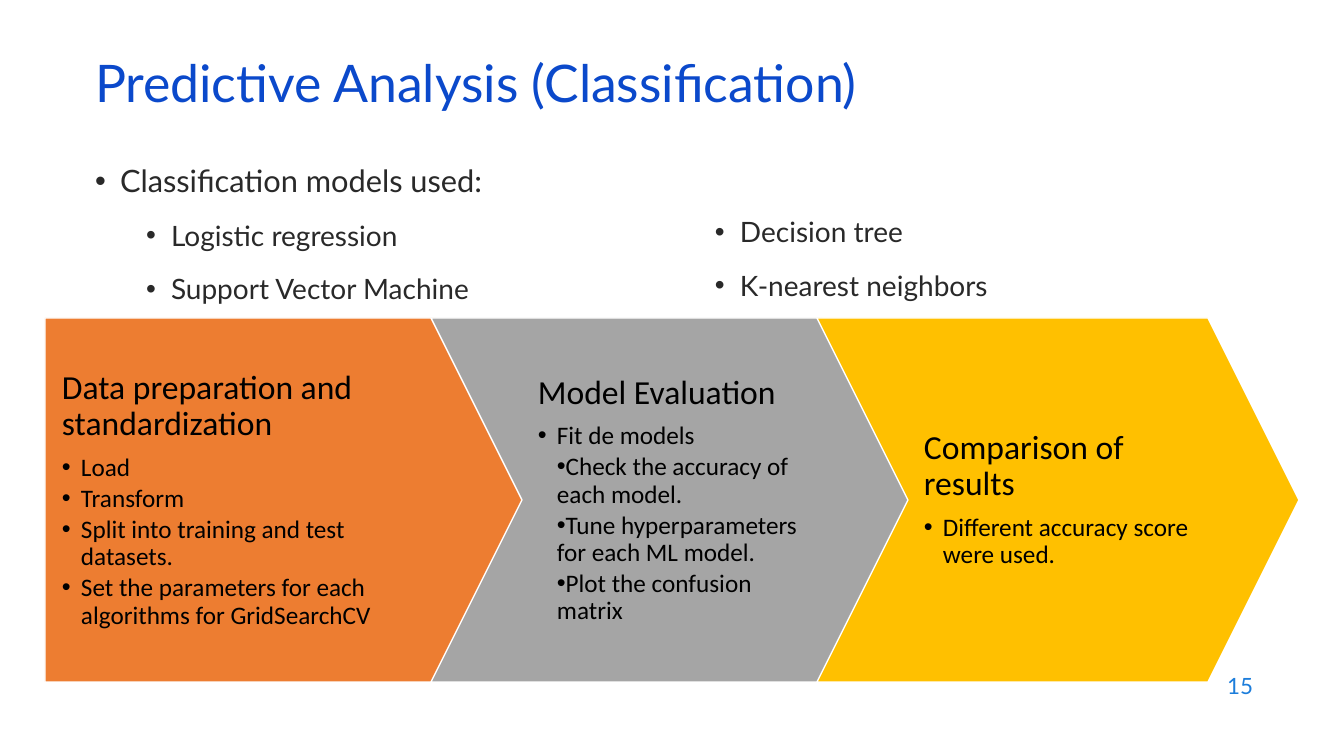
from pptx import Presentation
from pptx import util as u
from pptx.dml.color import RGBColor
from pptx.enum import shapes, text
from lxml import etree

PX = 914400 / 100.8
A = "{http://schemas.openxmlformats.org/drawingml/2006/main}"


def px(n):
    return round(n * PX)


def add_text(box, paragraphs, font="Calibri", color="000000", line=None,
             anchor="MIDDLE", align="LEFT", insets=(10, 5, 10, 5)):
    """Each paragraph is (text, size, format); bulleted ones give margin and indent."""
    tf = s.shapes.add_textbox(*map(px, box)).text_frame
    tf.word_wrap = True
    tf.vertical_anchor = getattr(text.MSO_ANCHOR, anchor)
    tf.margin_left, tf.margin_top, tf.margin_right, tf.margin_bottom = map(px, insets)
    for i, (words, size, fmt) in enumerate(paragraphs):
        p = tf.paragraphs[0] if i == 0 else tf.add_paragraph()
        p.alignment = getattr(text.PP_ALIGN, align)
        p.level = fmt.get("level", 0)
        if line:
            p.line_spacing = line
        p.space_before = u.Pt(fmt.get("before", 0) if i else 0)
        p.space_after = u.Pt(fmt.get("after", 0))
        if "margin" in fmt:
            pPr = p._p.get_or_add_pPr()
            pPr.set("marL", str(px(fmt["margin"])))
            pPr.set("indent", str(px(fmt["indent"])))
            etree.SubElement(pPr, A + "buFont").set("typeface", "Arial")
            etree.SubElement(pPr, A + "buChar").set("char", "•")
        r = p.add_run()
        r.text = words
        r.font.size = u.Pt(size)
        r.font.name = font
        r.font.color.rgb = RGBColor.from_string(color)


prs = Presentation()
prs.slide_width, prs.slide_height = px(1344), px(756)
s = prs.slides.add_slide(prs.slide_layouts[6])

# Slide number
add_text((961, 664, 302, 44), [("15", 16, {})], font="Lato", color="1C7DDB", align="RIGHT")

# Process arrows: shape, fill, heading, steps as (text, hanging indent)
HANG, FLUSH = -19, 0
stages = [
    ("PENTAGON", "ED7D31", "Data preparation and standardization",
     [("Load", HANG), ("Transform", HANG),
      ("Split into training and test datasets.", HANG),
      ("Set the parameters for each algorithms for GridSearchCV", HANG)]),
    ("CHEVRON", "A5A5A5", "Model Evaluation",
     [("Fit de models", HANG), ("Check the accuracy of each model.", FLUSH),
      ("Tune hyperparameters for each ML model.", FLUSH),
      ("Plot the confusion matrix", FLUSH)]),
    ("CHEVRON", "FFC000", "Comparison of results",
     [("Different accuracy score were used.", HANG)]),
]
TOP, WIDTH, HEIGHT, PITCH = 318, 482, 364, 386
for i, (kind, fill, heading, steps) in enumerate(stages):
    left = 45 + i * PITCH
    sp = s.shapes.add_shape(getattr(shapes.MSO_SHAPE, kind),
                            px(left), px(TOP), px(WIDTH), px(HEIGHT))
    sp.adjustments[0] = 0.25
    sp.shadow.inherit = False
    sp.fill.solid()
    sp.fill.fore_color.rgb = RGBColor.from_string(fill)
    sp.line.color.rgb = RGBColor.from_string("FFFFFF")
    sp.line.width = u.Pt(1)

    paragraphs = [(heading, 24, {"after": 8.4})]
    paragraphs += [(step, 18, {"level": 1, "margin": 19, "indent": indent, "after": 2.7})
                   for step, indent in steps]
    if kind == "PENTAGON":
        box, right_inset = (left, TOP, 436, HEIGHT), 68
    else:
        box, right_inset = (left + 90, TOP, 300, HEIGHT), 17
    add_text(box, paragraphs, line=0.9, insets=(17, 7, right_inset, 7))

# Title
add_text((85, 59, 1159, 60), [("Predictive Analysis (Classification)", 37, {})],
         font="Lato", color="0B49CB", line=0.7)

# Classification models in two columns
model = {"level": 1, "margin": 76, "indent": -25, "before": 14}
columns = [
    ((85, 157, 570, 160),
     [("Classification models used:", 22, {"margin": 25, "indent": -25}),
      ("Logistic regression", 20, model), ("Support Vector Machine", 20, model)]),
    ((654, 210, 570, 107),
     [("Decision tree", 20, model), ("K-nearest neighbors", 20, model)]),
]
for box, paragraphs in columns:
    add_text(box, paragraphs, font="Lato", color="292929", anchor="TOP")

prs.save("out.pptx")
